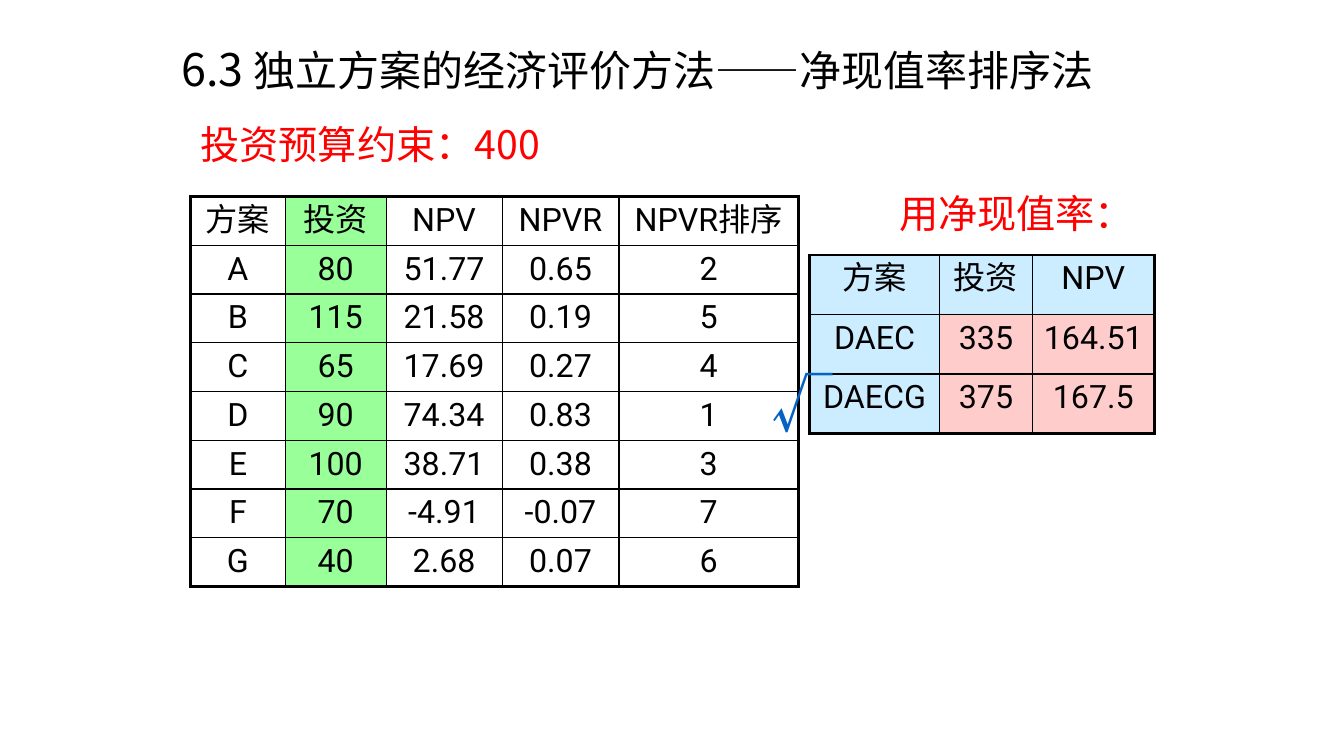
from lxml import etree
from pptx import Presentation
from pptx.dml.color import RGBColor
from pptx.enum.text import MSO_ANCHOR, MSO_AUTO_SIZE, PP_ALIGN
from pptx.oxml.ns import qn
from pptx.util import Inches, Pt

TOP = MSO_ANCHOR.TOP
NO_FIT = MSO_AUTO_SIZE.NONE
LEFT, CENTER = PP_ALIGN.LEFT, PP_ALIGN.CENTER

BLACK = RGBColor(0x00, 0x00, 0x00)
WHITE = RGBColor(0xFF, 0xFF, 0xFF)
RED = RGBColor(0xFF, 0x00, 0x00)
BLUE = RGBColor(0x05, 0x63, 0xC1)
GREEN = RGBColor(0x99, 0xFF, 0x99)
SKY = RGBColor(0xCC, 0xEC, 0xFF)
PINK = RGBColor(0xFF, 0xCC, 0xCC)

TEXT_FONT = "Noto Sans CJK SC"
TABLE_FONT = "Roboto"
OUTER_LINE, INNER_LINE = 2.25, 1

PROJECTS = [
    ["方案", "投资", "NPV", "NPVR", "NPVR排序"],
    ["A", "80", "51.77", "0.65", "2"],
    ["B", "115", "21.58", "0.19", "5"],
    ["C", "65", "17.69", "0.27", "4"],
    ["D", "90", "74.34", "0.83", "1"],
    ["E", "100", "38.71", "0.38", "3"],
    ["F", "70", "-4.91", "-0.07", "7"],
    ["G", "40", "2.68", "0.07", "6"],
]
PORTFOLIOS = [
    ["方案", "投资", "NPV"],
    ["DAEC", "335", "164.51"],
    ["DAECG", "375", "167.5"],
]


def project_fill(row, column):
    return GREEN if column == 1 else None


def portfolio_fill(row, column):
    return SKY if row == 0 or column == 0 else PINK


def add_span(para, text, size, color, name=TEXT_FONT):
    span = para.add_run()
    span.text = text
    for key, value in {"name": name, "size": Pt(size), "bold": False}.items():
        setattr(span.font, key, value)
    span.font.color.rgb = color
    # East Asian typeface
    east_asian = etree.SubElement(span.font._element, qn("a:ea"))
    east_asian.set("typeface", name)


def add_title(page, box, spans):
    title = page.shapes.title
    for key, value in zip(("left", "top", "width", "height"), box):
        setattr(title, key, Inches(value))
    title.fill.solid()
    title.fill.fore_color.rgb = WHITE
    frame = title.text_frame
    frame_format = {"word_wrap": True, "auto_size": NO_FIT, "vertical_anchor": TOP}
    for key, value in frame_format.items():
        setattr(frame, key, value)
    para = frame.paragraphs[0]
    para.alignment = LEFT
    for text, size in spans:
        add_span(para, text, size, BLACK)


def add_label(page, box, text, size, color, wrap=True):
    label = page.shapes.add_textbox(*map(Inches, box))
    label.text_frame.word_wrap = wrap
    add_span(label.text_frame.paragraphs[0], text, size, color)


def set_borders(cell, widths):
    properties = cell._tc.get_or_add_tcPr()
    for position, (side, width) in enumerate(widths.items()):
        line = etree.Element(qn(f"a:ln{side}"), w=str(Pt(width)))
        fill = etree.SubElement(line, qn("a:solidFill"))
        etree.SubElement(fill, qn("a:srgbClr"), val=str(BLACK))
        properties.insert(position, line)


def fill_cell(cell, text, color):
    para = cell.text_frame.paragraphs[0]
    para.alignment = CENTER
    # Space before as a share of the line
    before = etree.SubElement(para._p.get_or_add_pPr(), qn("a:spcBef"))
    etree.SubElement(before, qn("a:spcPct"), val="20000")
    add_span(para, text, 23, BLACK, TABLE_FONT)
    if color is None:
        cell.fill.background()
    else:
        cell.fill.solid()
        cell.fill.fore_color.rgb = color


def add_grid(page, box, rows, widths, pick_fill):
    last_row, last_column = len(rows) - 1, len(widths) - 1
    table = page.shapes.add_table(len(rows), len(widths), *map(Inches, box)).table
    table.first_row = table.horz_banding = False
    for column, width in zip(table.columns, widths):
        column.width = Inches(width)
    for row in table.rows:
        row.height = Inches(box[3] / len(rows))
    for r, values in enumerate(rows):
        for c, text in enumerate(values):
            cell = table.cell(r, c)
            fill_cell(cell, text, pick_fill(r, c))
            outer = {"L": c == 0, "R": c == last_column, "T": r == 0, "B": r == last_row}
            set_borders(cell, {side: OUTER_LINE if edge else INNER_LINE
                               for side, edge in outer.items()})


def add_projects(page, left, top):
    add_label(page, (left, top, 6.03, 0.57), "投资预算约束：400", 28, RED)
    add_grid(page, (left, top + 0.81, 6.03, 3.87), PROJECTS,
             (0.94, 1, 1.15, 1.16, 1.78), project_fill)


def add_portfolios(page, left, top):
    add_label(page, (left + 0.79, top, 2.56, 0.57), "用净现值率：", 28, RED, wrap=False)
    add_grid(page, (left, top + 0.7, 3.42, 1.77), PORTFOLIOS,
             (1.29, 0.92, 1.21), portfolio_fill)
    # Tick beside the best portfolio
    add_label(page, (left - 0.48, top + 1.75, 0.99, 0.84), "√", 44, BLUE)


def main():
    deck = Presentation()
    deck.slide_width, deck.slide_height = Inches(13.33), Inches(7.5)
    page = deck.slides.add_slide(deck.slide_layouts[5])
    add_projects(page, 1.89, 1.14)
    add_portfolios(page, 8.03, 1.83)
    add_title(page, (1.7, 0.36, 9.77, 0.51),
              [("6.3 ", 32), ("独立方案的经济评价方法——净现值率排序法", 30)])
    deck.save("out.pptx")


if __name__ == "__main__":
    main()
